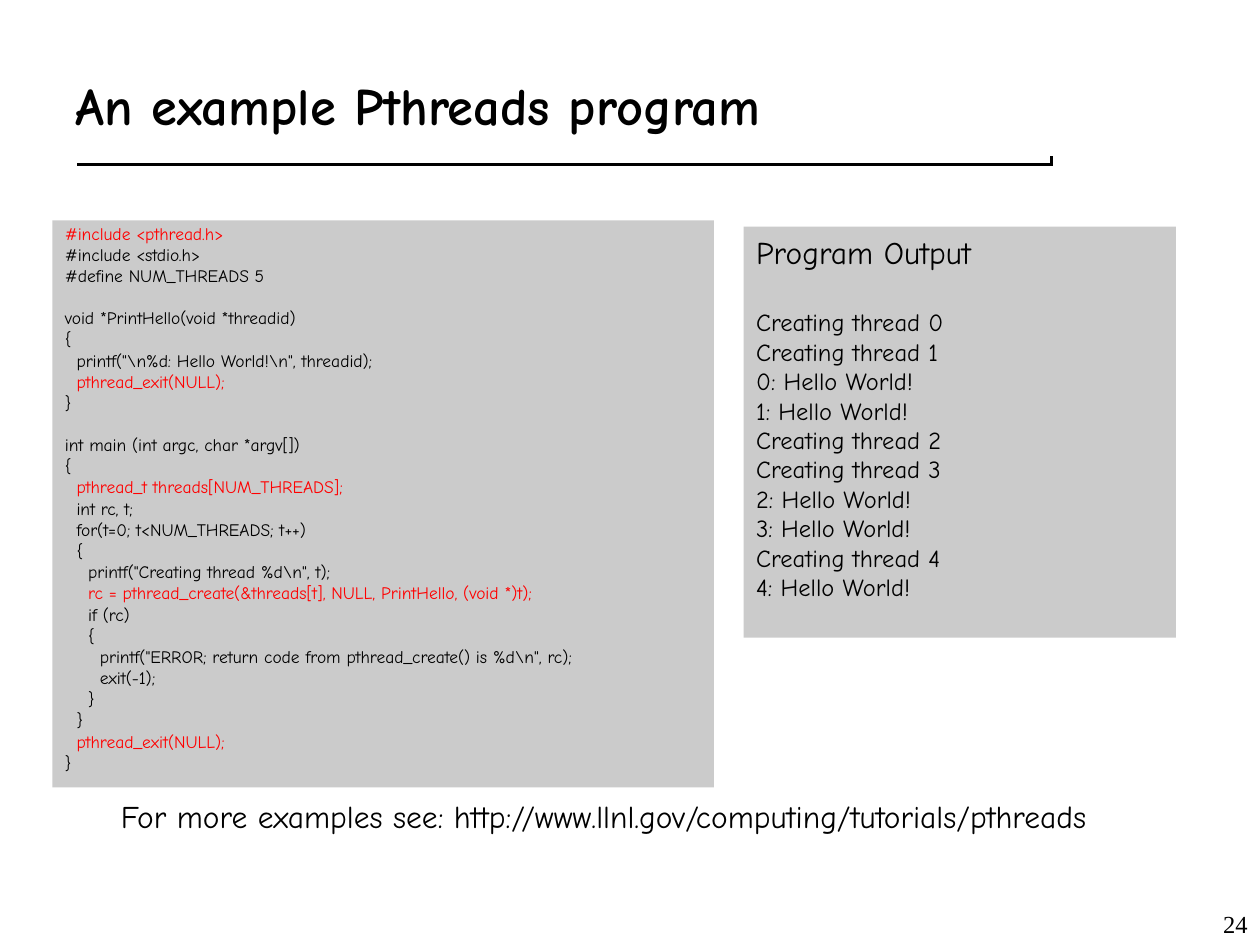
import pptx
import pptx.util
import pptx.dml.color
import pptx.enum.shapes
import pptx.enum.text
from pptx.oxml.ns import qn
from lxml import etree

Pt = pptx.util.Pt
RGBColor = pptx.dml.color.RGBColor
Align = pptx.enum.text.PP_ALIGN
Anchor = pptx.enum.text.MSO_ANCHOR

BLACK = RGBColor(0, 0, 0)
WHITE = RGBColor(255, 255, 255)
RED = RGBColor(255, 0, 0)
GRAY = RGBColor(0xCB, 0xCB, 0xCB)
HAND = "Comic Neue"
SERIF = "Times New Roman"

TITLE = "An example Pthreads program"
FOOTER = "For more examples see: http://www.llnl.gov/computing/tutorials/pthreads"
PAGE = "24"

CODE = r"""#include <pthread.h>
#include <stdio.h>
#define NUM_THREADS 5

void *PrintHello(void *threadid)
{
  printf("\n%d: Hello World!\n", threadid);
  pthread_exit(NULL);
}

int main (int argc, char *argv[])
{
  pthread_t threads[NUM_THREADS];
  int rc, t;
  for(t=0; t<NUM_THREADS; t++)
  {
    printf("Creating thread %d\n", t);
    rc = pthread_create(&threads[t], NULL, PrintHello, (void *)t);
    if (rc)
    {
      printf("ERROR; return code from pthread_create() is %d\n", rc);
      exit(-1);
    }
  }
  pthread_exit(NULL);
}"""
RED_STARTS = ("#include <pthread", "pthread_", "rc = pthread_create")

OUTPUT_TITLE = "Program Output"
OUTPUT = [
    "Creating thread 0", "Creating thread 1", "0: Hello World!", "1: Hello World!",
    "Creating thread 2", "Creating thread 3", "2: Hello World!", "3: Hello World!",
    "Creating thread 4", "4: Hello World!",
]

RULES = [(44, 92, BLACK), (42, 90, WHITE)]
RULE_LENGTH = 558
CODE_GAP = 2.5
CODE_BLANK_GAP = 14.5
OUTPUT_GAP = 21


def add_rule(slide, left, top, color):
    line = slide.shapes.add_connector(
        pptx.enum.shapes.MSO_CONNECTOR.STRAIGHT,
        Pt(left), Pt(top), Pt(left + RULE_LENGTH), Pt(top))
    line.line.color.rgb = color
    line.line.width = Pt(6)
    etree.SubElement(line._element.spPr, qn("a:effectLst"))


def add_text(slide, box, anchor=Anchor.TOP, wrap=True):
    shape = slide.shapes.add_textbox(*map(Pt, box))
    shape.text_frame.word_wrap = wrap
    shape.text_frame.vertical_anchor = anchor
    return shape.text_frame


def add_panel(slide, box):
    shape = slide.shapes.add_shape(
        pptx.enum.shapes.MSO_SHAPE.RECTANGLE, *map(Pt, box))
    shape.shadow.inherit = False
    shape.fill.solid()
    shape.fill.fore_color.rgb = GRAY
    shape.line.fill.background()
    shape.text_frame.word_wrap = True
    shape.text_frame.vertical_anchor = Anchor.TOP
    return shape.text_frame


def write(frame, text, size, color=BLACK, font=HAND, bold=False,
          align=Align.LEFT, before=0, spacing=1.0):
    first = frame.paragraphs[0]
    paragraph = frame.add_paragraph() if first.runs else first
    paragraph.alignment = align
    paragraph.line_spacing = spacing
    paragraph.space_before = Pt(before)
    run = paragraph.add_run()
    run.text = text
    run.font.name = font
    run.font.size = Pt(size)
    run.font.bold = bold
    run.font.color.rgb = color


def write_code(frame):
    before = 0
    for line in CODE.split("\n"):
        if not line:
            before = CODE_BLANK_GAP
            continue
        color = RED if line.strip().startswith(RED_STARTS) else BLACK
        write(frame, line, 10, color, before=before, spacing=0.8)
        before = CODE_GAP


def main():
    presentation = pptx.Presentation()
    presentation.slide_width = Pt(720)
    presentation.slide_height = Pt(540)
    slide = presentation.slides.add_slide(presentation.slide_layouts[6])

    for left, top, color in RULES:
        add_rule(slide, left, top, color)

    write(add_text(slide, (570, 504, 150, 36), Anchor.BOTTOM), PAGE, 14,
          font=SERIF, align=Align.RIGHT)
    write(add_text(slide, (36, 24, 618, 72), Anchor.MIDDLE), TITLE, 30, bold=True)

    write_code(add_panel(slide, (30, 126, 378, 324)))

    output = add_panel(slide, (425, 129.5, 247, 235))
    write(output, OUTPUT_TITLE, 18)
    for index, line in enumerate(OUTPUT):
        write(output, line, 14, before=0 if index else OUTPUT_GAP)

    write(add_text(slide, (62, 456, 573, 46), wrap=False), FOOTER, 18, spacing=0.8)

    presentation.save("out.pptx")


if __name__ == "__main__":
    main()
